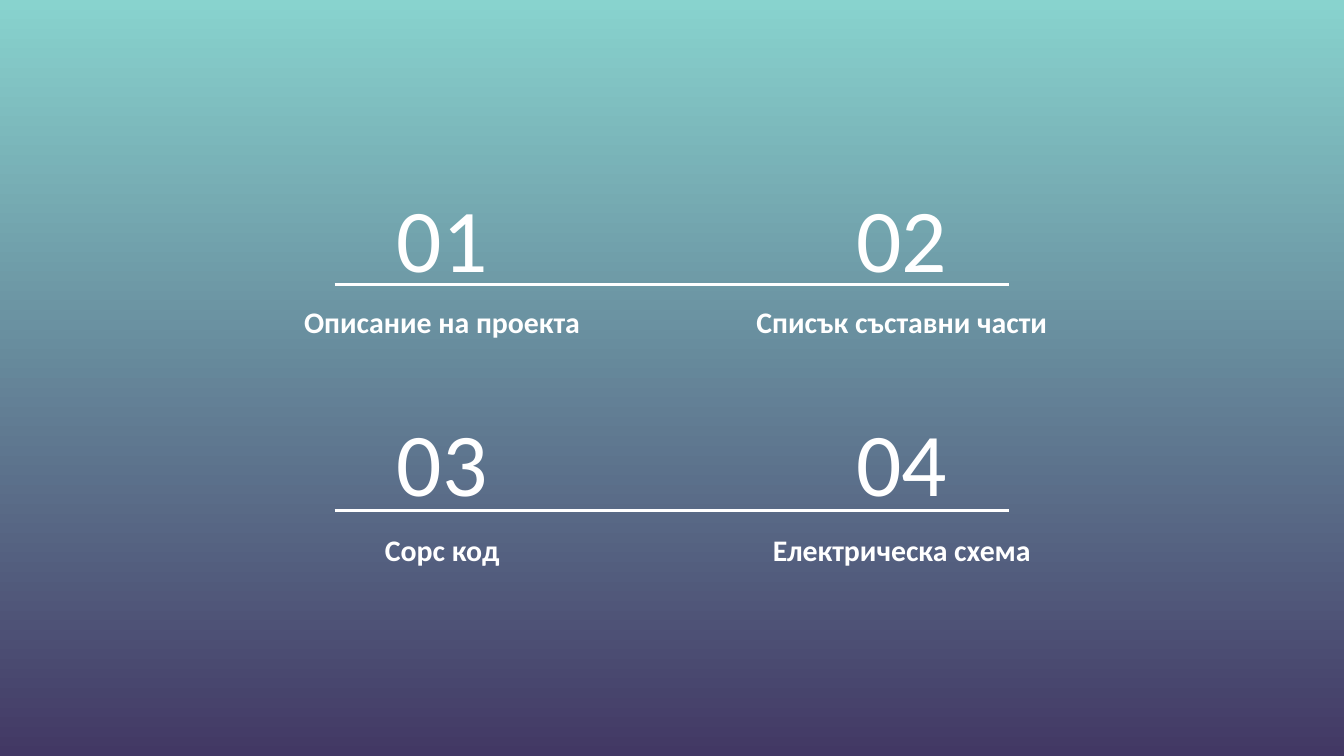
from dataclasses import dataclass

from lxml import etree
from pptx import Presentation
from pptx.dml.color import RGBColor
from pptx.enum import shapes, text
from pptx.oxml import ns
from pptx.util import Inches, Pt

WHITE = "FFFFFF"
BOX_HEIGHT = 0.63
LABEL_WIDTH = 2.88
NUMBER_WIDTH = 1.92
COLUMN_CENTERS = (3.29, 6.71)


@dataclass(frozen=True)
class Row:
    number_top: float
    line_y: float
    label_top: float
    labels: tuple[str, str]


ROWS = (
    Row(1.45, 2.12, 2.0, ("Описание на проекта", "Списък съставни части")),
    Row(3.11, 3.8, 3.69, ("Сорс код", "Електрическа схема")),
)
LABEL_FONT = {"name": "Calibri", "size": Pt(16), "bold": True}
NUMBER_FONT = {"name": "Calibri", "size": Pt(48), "bold": False}


def color(value: str) -> RGBColor:
    return RGBColor.from_string(value)


def set_background(slide, top: str, bottom: str) -> None:
    fill = slide.background.fill
    fill.gradient()
    fill.gradient_angle = 270
    for stop, position, value in zip(fill.gradient_stops, (0, 1), (top, bottom)):
        stop.position = position
        stop.color.rgb = color(value)


def place_text(shape, words: str, center: float, top: float, width: float,
               anchor, font_values: dict) -> None:
    """Position a text shape around its column centre and format it."""
    shape.left, shape.top = Inches(center - width / 2), Inches(top)
    shape.width, shape.height = Inches(width), Inches(BOX_HEIGHT)
    frame = shape.text_frame
    frame_values = {"word_wrap": True, "auto_size": text.MSO_AUTO_SIZE.NONE,
                    "vertical_anchor": anchor}
    for side in ("left", "top", "right", "bottom"):
        frame_values[f"margin_{side}"] = Inches(0.1)
    for name, value in frame_values.items():
        setattr(frame, name, value)
    paragraph = frame.paragraphs[0]
    paragraph.alignment = text.PP_ALIGN.CENTER
    run = paragraph.add_run()
    run.text = words
    for name, value in font_values.items():
        setattr(run.font, name, value)
    run.font.color.rgb = color(WHITE)


def add_rule(slide, y: float) -> None:
    rule = slide.shapes.add_connector(
        shapes.MSO_CONNECTOR.STRAIGHT,
        Inches(2.49), Inches(y), Inches(7.51), Inches(y))
    rule.line.color.rgb = color(WHITE)
    rule.line.width = Pt(1.5)
    etree.SubElement(rule._element.spPr, ns.qn("a:effectLst"))


def main() -> None:
    presentation = Presentation()
    presentation.slide_width = Inches(10)
    presentation.slide_height = Inches(10 * 9 / 16)
    slide = presentation.slides.add_slide(presentation.slide_layouts[5])
    set_background(slide, "88D3CE", "423864")

    # Labels: the first one takes the title placeholder
    for row in ROWS:
        for center, label in zip(COLUMN_CENTERS, row.labels):
            is_first = label == ROWS[0].labels[0]
            shape = slide.shapes.title if is_first else slide.shapes.add_textbox(0, 0, 0, 0)
            place_text(shape, label, center, row.label_top, LABEL_WIDTH,
                       text.MSO_ANCHOR.BOTTOM, LABEL_FONT)

    # Numbers and the rule below each row of them
    for row_index, row in enumerate(ROWS):
        for column_index, center in enumerate(COLUMN_CENTERS):
            number = row_index * len(COLUMN_CENTERS) + column_index + 1
            place_text(slide.shapes.add_textbox(0, 0, 0, 0), f"{number:02d}", center,
                       row.number_top, NUMBER_WIDTH, text.MSO_ANCHOR.MIDDLE, NUMBER_FONT)
        add_rule(slide, row.line_y)

    presentation.save("out.pptx")


if __name__ == "__main__":
    main()
